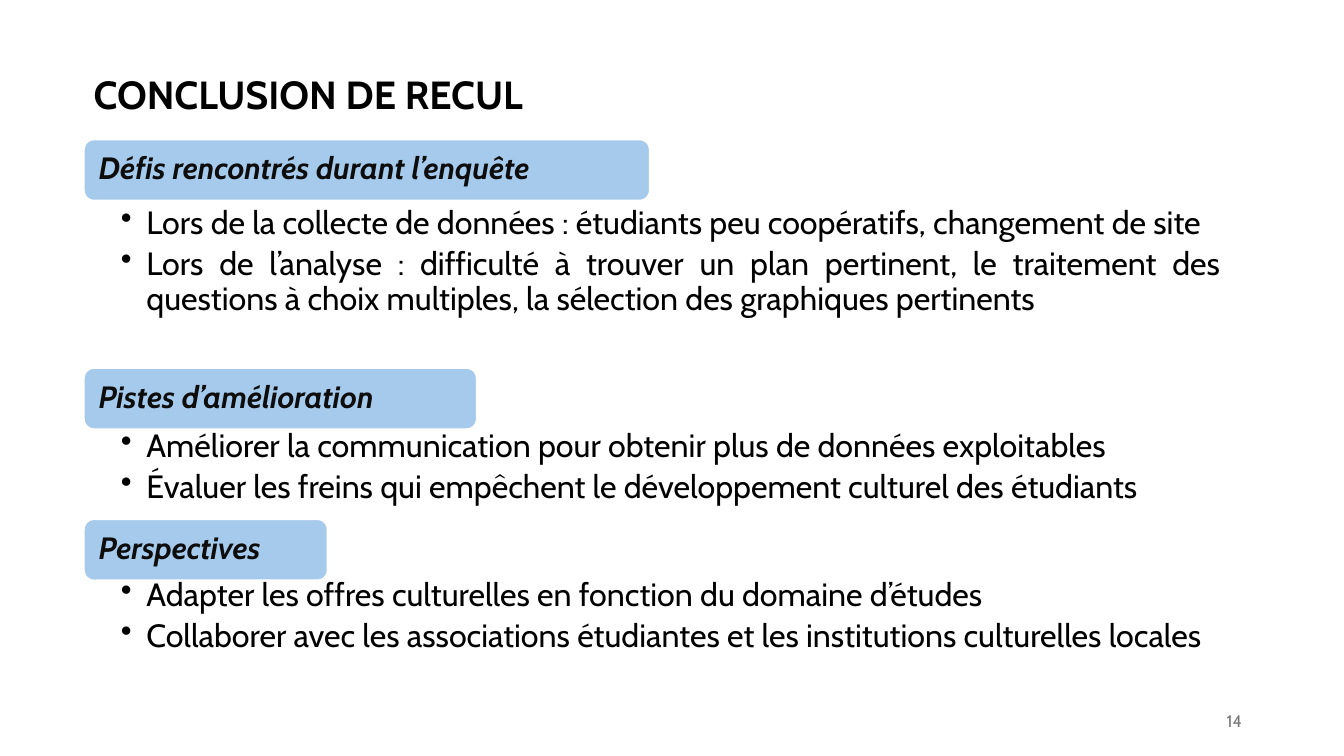
from lxml import etree
from pptx import Presentation
from pptx.dml.color import RGBColor
from pptx.enum.shapes import MSO_SHAPE
from pptx.enum.text import MSO_ANCHOR, PP_ALIGN
from pptx.oxml.ns import qn
from pptx.util import Cm, Pt

ROUND = MSO_SHAPE.ROUNDED_RECTANGLE
MIDDLE, TOP = MSO_ANCHOR.MIDDLE, MSO_ANCHOR.TOP
LEFT, RIGHT, JUSTIFY = PP_ALIGN.LEFT, PP_ALIGN.RIGHT, PP_ALIGN.JUSTIFY
EDGE = 2.11

# heading, top and width of its band, top and height of its list, list items
PARTS = [
    ("Défis rencontrés durant l’enquête", 3.51, 14.27, 5.11, 4.06, [
        "Lors de la collecte de données : étudiants peu coopératifs, changement de site",
        "Lors de l’analyse : difficulté à trouver un plan pertinent, le traitement des "
        "questions à choix multiples, la sélection des graphiques pertinents"]),
    ("Pistes d’amélioration", 9.27, 9.91, 10.72, 2.21, [
        "Améliorer la communication pour obtenir plus de données exploitables",
        "Évaluer les freins qui empêchent le développement culturel des étudiants"]),
    ("Perspectives", 13.08, 6.15, 14.48, 3.1, [
        "Adapter les offres culturelles en fonction du domaine d’études",
        "Collaborer avec les associations étudiantes et les institutions culturelles locales"]),
]


def color(code):
    return RGBColor.from_string(code)


class Deck:
    font = "Cabin"
    ink, dark, grey = "000000", "0D0D0D", "797979"
    band, white = "A6CAEC", "FFFFFF"

    def __init__(self):
        self.file = Presentation()
        self.file.slide_width, self.file.slide_height = Cm(33.87), Cm(19.05)
        self.slide = self.file.slides.add_slide(self.file.slide_layouts[6])

    def frame(self, shape, anchor, pads):
        """Set wrap, anchor and the left, top, right, bottom insets."""
        frame = shape.text_frame
        frame.word_wrap = True
        frame.vertical_anchor = anchor
        (frame.margin_left, frame.margin_top,
         frame.margin_right, frame.margin_bottom) = map(Cm, pads)
        return frame

    def style(self, para, size, ink, bold=False, slant=False, align=LEFT):
        para.alignment = align
        for run in para.runs:
            font = run.font
            font.name, font.size = self.font, Pt(size)
            font.bold, font.italic = bold, slant
            font.color.rgb = color(ink)

    def text(self, words, box, size, ink, anchor=TOP, **look):
        shape = self.slide.shapes.add_textbox(*map(Cm, box))
        frame = self.frame(shape, anchor, (0.25, 0.13, 0.25, 0.13))
        frame.text = words
        self.style(frame.paragraphs[0], size, ink, **look)

    def heading(self, words, top, width):
        shape = self.slide.shapes.add_shape(
            ROUND, Cm(EDGE), Cm(top), Cm(width), Cm(1.55))
        shape.shadow.inherit = False
        shape.fill.solid()
        shape.fill.fore_color.rgb = color(self.band)
        shape.line.color.rgb = color(self.white)
        shape.line.width = Pt(1.5)
        frame = self.frame(shape, MIDDLE, (0.3, 0.3, 0.3, 0.3))
        frame.text = words
        para = frame.paragraphs[0]
        para.line_spacing = 0.9
        self.style(para, 22, self.dark, bold=True, slant=True)

    def bullets(self, items, top, height):
        shape = self.slide.shapes.add_textbox(
            Cm(EDGE), Cm(top), Cm(29.26), Cm(height))
        frame = self.frame(shape, TOP, (0.94, 0.1, 0.58, 0.1))
        frame.text = "\n".join(items)
        for para in frame.paragraphs:
            para.level = 1
            para.line_spacing = 0.9
            para.space_after = Pt(4.5)
            props = para._p.get_or_add_pPr()
            props.set("marL", str(Cm(0.64)))
            props.set("indent", str(-Cm(0.64)))
            etree.SubElement(props, qn("a:buChar")).set("char", "•")
            self.style(para, 23, self.ink, align=JUSTIFY)


def main():
    deck = Deck()
    deck.text("14", (23.93, 17.65, 7.62, 1.02), 12, deck.grey, MIDDLE, align=RIGHT)
    deck.text("CONCLUSION DE RECUL", (EDGE, 1.63, 16.94, 1.45), 28, deck.ink, bold=True)
    for title, top, width, start, height, items in PARTS:
        deck.heading(title, top, width)
        deck.bullets(items, start, height)
    deck.file.save("out.pptx")


if __name__ == "__main__":
    main()
